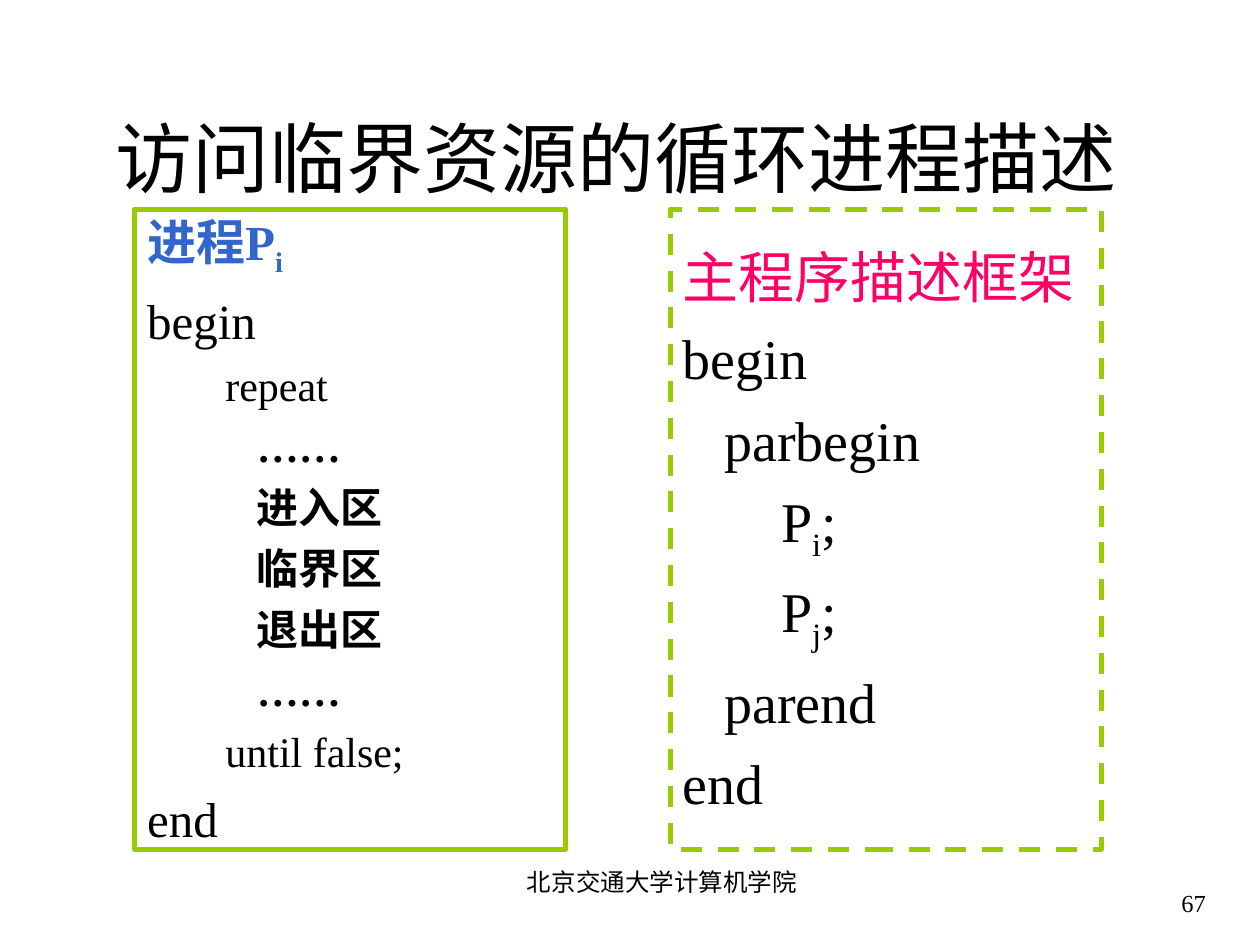
from lxml.etree import SubElement
from pptx import Presentation
from pptx.dml.color import RGBColor
from pptx.enum.dml import MSO_LINE
from pptx.enum.shapes import MSO_SHAPE
from pptx.enum.text import MSO_ANCHOR, PP_ALIGN
from pptx.oxml.ns import qn
from pptx.util import Inches, Pt

COLORS = {"text": "000000", "process": "3366CC", "program": "FF0066", "frame": "99CC00"}
SERIF, CJK = "Times New Roman", "Noto Sans CJK SC"

# Each line: text parts (every second one is a subscript), indent, size, color, bold
PROCESS_LINES = [
    (["进程P", "i"], 0, 28, "process", True),
    (["begin"], 0, 28, "text", False),
    (["repeat"], 0.62, 24, "text", False),
    *[([step], 0.87, 24, "text", True)
      for step in ("……", "进入区", "临界区", "退出区", "……")],
    (["until false;"], 0.62, 24, "text", False),
    (["end"], 0, 28, "text", False),
]
PROGRAM_LINES = [
    (["主程序描述框架"], 0, 32, "program", False),
    (["begin"], 0, 32, "text", False),
    (["parbegin"], 0.33, 32, "text", False),
    (["P", "i", ";"], 0.78, 32, "text", False),
    (["P", "j", ";"], 0.78, 32, "text", False),
    (["parend"], 0.33, 32, "text", False),
    (["end"], 0, 32, "text", False),
]


def set_frame(tf, anchor, inset_x, inset_y):
    tf.word_wrap = True
    tf.vertical_anchor = anchor
    tf.margin_left = tf.margin_right = Inches(inset_x)
    tf.margin_top = tf.margin_bottom = Inches(inset_y)


def set_font(p, size, color="text", bold=False, name=SERIF):
    p.font.size = Pt(size)
    p.font.bold = bold
    p.font.color.rgb = RGBColor.from_string(COLORS[color])
    p.font.name = name
    # East Asian typeface
    SubElement(p._p.pPr.find(qn("a:defRPr")), qn("a:ea"), typeface=CJK)


def add_label(s, text, box, size, align=PP_ALIGN.LEFT, anchor=MSO_ANCHOR.TOP,
              inset=(0.1, 0.05), name=SERIF):
    tf = s.shapes.add_textbox(*map(Inches, box)).text_frame
    set_frame(tf, anchor, *inset)
    p = tf.paragraphs[0]
    p.text = text
    p.alignment = align
    set_font(p, size, name=name)


def add_code_line(p, parts, indent, size, color, bold):
    p.alignment = PP_ALIGN.LEFT
    p._p.get_or_add_pPr().set("marL", str(Inches(indent)))
    set_font(p, size, color, bold)
    for i, part in enumerate(parts):
        r = p.add_run()
        r.text = part
        if i % 2:
            r._r.get_or_add_rPr().set("baseline", "-25000")


def add_code_box(s, left, lines, dash=MSO_LINE.SOLID):
    sp = s.shapes.add_shape(MSO_SHAPE.RECTANGLE, Inches(left), Inches(1.66),
                            Inches(3.42), Inches(5.08))
    sp.shadow.inherit = False
    sp.fill.background()
    sp.line.color.rgb = RGBColor.from_string(COLORS["frame"])
    sp.line.width = Pt(3)
    sp.line.dash_style = dash
    tf = sp.text_frame
    set_frame(tf, MSO_ANCHOR.MIDDLE, 0.1, 0.01)
    for i, line in enumerate(lines):
        p = tf.add_paragraph() if i else tf.paragraphs[0]
        if i:
            p.space_before = Pt(line[2] / 4)
        add_code_line(p, *line)


def main():
    prs = Presentation()
    prs.slide_width, prs.slide_height = Inches(10), Inches(7.5)
    s = prs.slides.add_slide(prs.slide_layouts[6])

    # Title
    add_label(s, "访问临界资源的循环进程描述", (0.9, 0.99, 8.08, 0.5), 44,
              anchor=MSO_ANCHOR.MIDDLE, inset=(0.02, 0.01), name=CJK)

    # Process and main program
    add_code_box(s, 1.07, PROCESS_LINES)
    add_code_box(s, 5.32, PROGRAM_LINES, MSO_LINE.DASH)

    # Footer and page number
    add_label(s, "北京交通大学计算机学院", (3.67, 6.83, 3.17, 0.5), 14, PP_ALIGN.CENTER)
    add_label(s, "67", (8.67, 6.83, 1, 0.5), 14, PP_ALIGN.RIGHT, MSO_ANCHOR.BOTTOM)

    prs.save("out.pptx")


if __name__ == "__main__":
    main()
